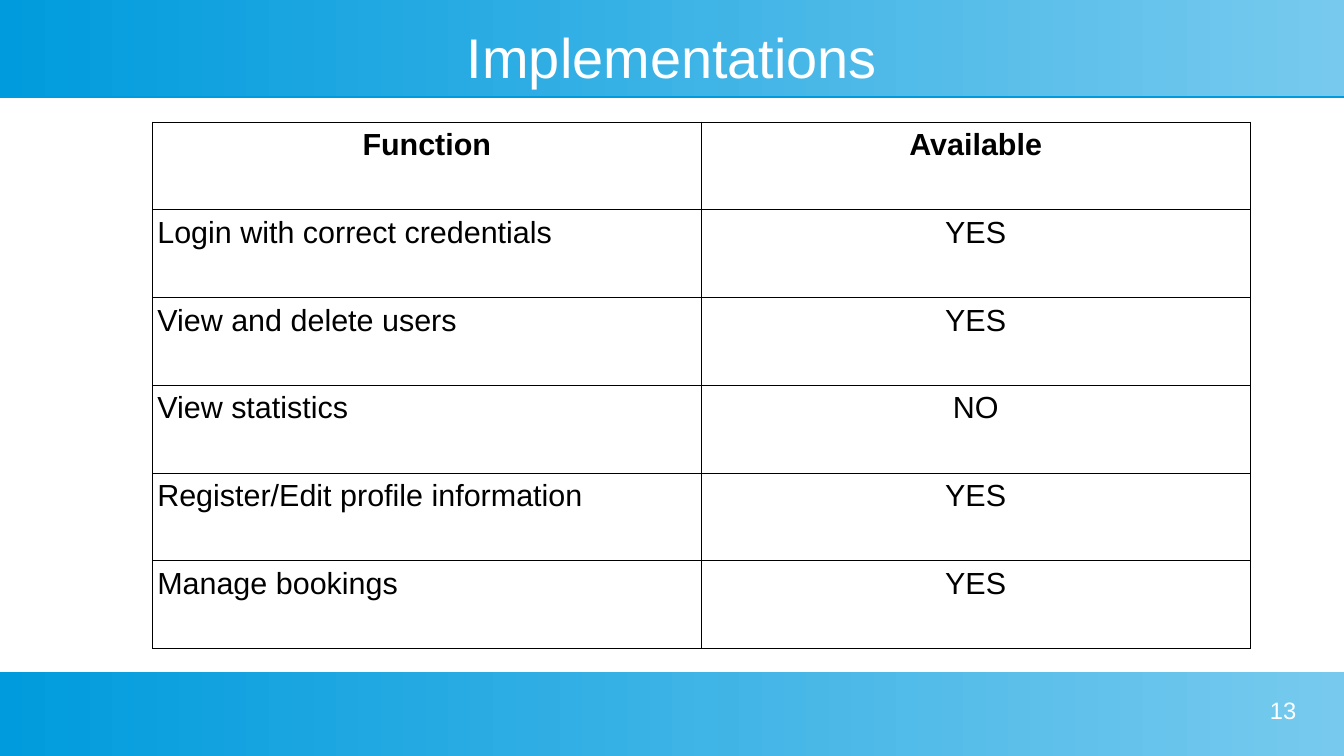
from dataclasses import dataclass

from lxml import etree
from pptx import Presentation
from pptx.dml.color import RGBColor
from pptx.enum.shapes import MSO_SHAPE
from pptx.enum.text import MSO_ANCHOR, MSO_AUTO_SIZE, PP_ALIGN
from pptx.oxml import parse_xml
from pptx.oxml.ns import nsdecls, qn
from pptx.util import Inches, Pt

RECT = MSO_SHAPE.RECTANGLE
TOP, MIDDLE = MSO_ANCHOR.TOP, MSO_ANCHOR.MIDDLE
LEFT, CENTER, RIGHT = PP_ALIGN.LEFT, PP_ALIGN.CENTER, PP_ALIGN.RIGHT
NO_AUTOSIZE = MSO_AUTO_SIZE.NONE

FONT = "Arial"
BLACK, WHITE = "000000", "FFFFFF"
DEEP_BLUE, PALE_BLUE = "009BDD", "77CAEE"
SLIDE_W, SLIDE_H = 11.02, 6.2
ROW_H, COL_W = 0.72, 4.5
BORDER_PT = 0.57


@dataclass
class Band:
    top: float
    height: float


@dataclass
class Feature:
    function: str
    available: str


BANDS = [Band(0, 0.79), Band(5.51, 0.69)]
HEADER = Feature("Function", "Available")
FEATURES = [
    Feature("Login with correct credentials", "YES"),
    Feature("View and delete users", "YES"),
    Feature("View statistics", "NO"),
    Feature("Register/Edit profile information", "YES"),
    Feature("Manage bookings", "YES"),
]


def rgb(value: str) -> RGBColor:
    return RGBColor.from_string(value)


def add_text(tf, text: str, size: float, color: str, align, bold: bool = False) -> None:
    p = tf.paragraphs[0]
    p.alignment = align
    r = p.add_run()
    r.text = text
    r.font.name = FONT
    r.font.size = Pt(size)
    r.font.bold = bold
    r.font.color.rgb = rgb(color)


def format_frame(tf, anchor) -> None:
    tf.word_wrap = True
    tf.auto_size = NO_AUTOSIZE
    tf.vertical_anchor = anchor
    tf.margin_left = tf.margin_right = tf.margin_top = tf.margin_bottom = 0


def add_band(s, band: Band) -> None:
    sp = s.shapes.add_shape(RECT, 0, Inches(band.top), Inches(SLIDE_W), Inches(band.height))
    sp.line.fill.background()
    sp.fill.gradient()
    sp.fill.gradient_angle = 0
    for stop, color in zip(sp.fill.gradient_stops, (DEEP_BLUE, PALE_BLUE)):
        stop.color.rgb = rgb(color)
    sp.shadow.inherit = False
    effects = sp.element.spPr.find(qn("a:effectLst"))
    shadow = etree.SubElement(effects, qn("a:outerShdw"), dist=str(Pt(0.9)),
                              dir="5400000", rotWithShape="0")
    etree.SubElement(shadow, qn("a:srgbClr"), val=DEEP_BLUE)
    s.shapes.title.element.addprevious(sp.element)


def set_borders(cell, color: str) -> None:
    props = cell._tc.get_or_add_tcPr()
    for i, side in enumerate(("lnL", "lnR", "lnT", "lnB")):
        props.insert(i, parse_xml(
            f'<a:{side} {nsdecls("a")} w="{Pt(BORDER_PT)}"><a:solidFill>'
            f'<a:srgbClr val="{color}"/></a:solidFill></a:{side}>'))


def fill_cell(cell, text: str, align, bold: bool) -> None:
    cell.margin_left = cell.margin_right = Inches(0.04)
    cell.margin_top = cell.margin_bottom = Inches(0.05)
    cell.vertical_anchor = TOP
    cell.fill.solid()
    cell.fill.fore_color.rgb = rgb(WHITE)
    set_borders(cell, BLACK)
    add_text(cell.text_frame, text, 18, BLACK, align, bold)


def add_feature_table(s) -> None:
    rows = [HEADER, *FEATURES]
    table = s.shapes.add_table(len(rows), 2, Inches(1.25), Inches(1),
                               Inches(2 * COL_W), Inches(len(rows) * ROW_H)).table
    table.first_row = table.horz_banding = False
    for column in table.columns:
        column.width = Inches(COL_W)
    for i, feature in enumerate(rows):
        table.rows[i].height = Inches(ROW_H)
        is_header = feature is HEADER
        fill_cell(table.cell(i, 0), feature.function, CENTER if is_header else LEFT, is_header)
        fill_cell(table.cell(i, 1), feature.available, CENTER, is_header)


def main() -> None:
    prs = Presentation()
    prs.slide_width, prs.slide_height = Inches(SLIDE_W), Inches(SLIDE_H)
    s = prs.slides.add_slide(prs.slide_layouts.get_by_name("Title Only"))

    for band in BANDS:
        add_band(s, band)

    title = s.shapes.title
    title.left, title.top = Inches(0.39), Inches(0.2)
    title.width, title.height = Inches(10.24), Inches(0.52)
    format_frame(title.text_frame, MIDDLE)
    add_text(title.text_frame, "Implementations", 33, WHITE, CENTER)

    add_feature_table(s)

    number = s.shapes.add_textbox(Inches(8.07), Inches(5.71), Inches(2.56), Inches(0.39))
    format_frame(number.text_frame, TOP)
    add_text(number.text_frame, "13", 14, WHITE, RIGHT)

    prs.save("out.pptx")


if __name__ == "__main__":
    main()
